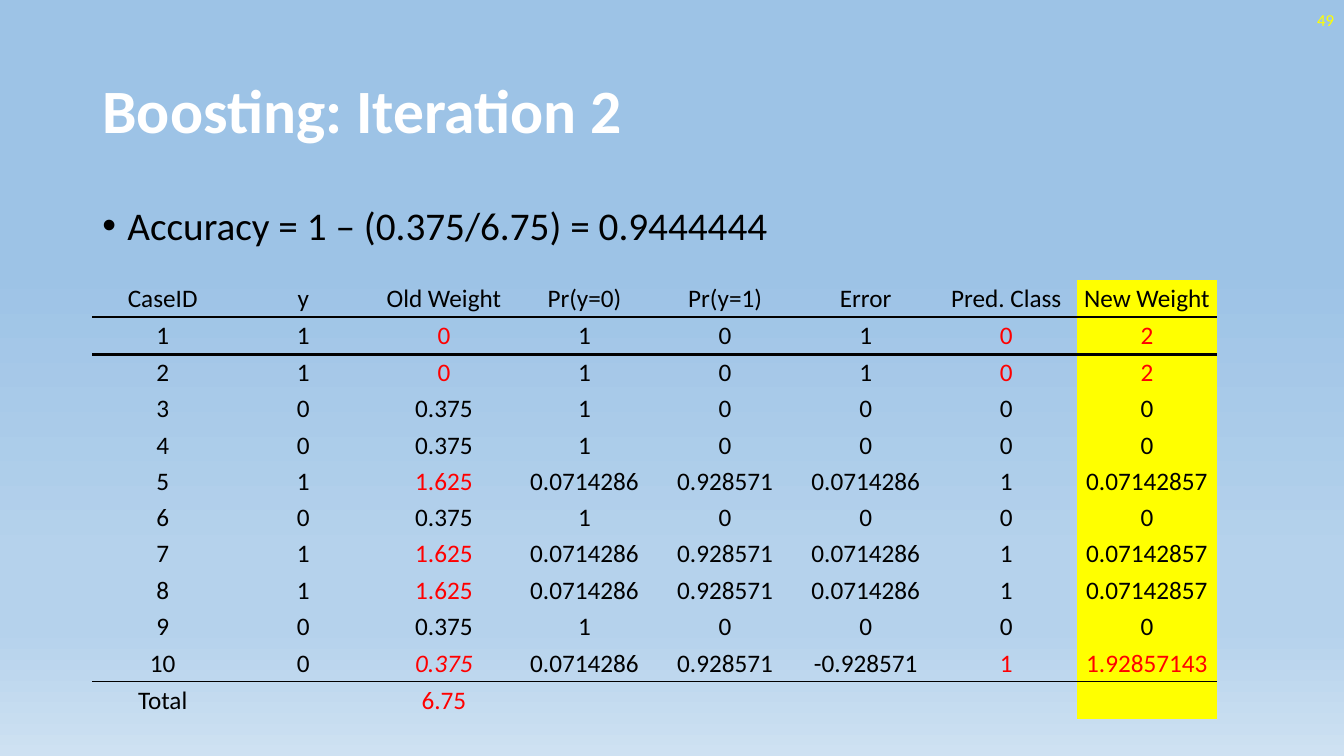
import lxml.etree
import pptx
import pptx.dml.color
import pptx.enum.text
import pptx.oxml.ns
import pptx.util

Pt = pptx.util.Pt
RGBColor = pptx.dml.color.RGBColor
Align = pptx.enum.text.PP_ALIGN
Anchor = pptx.enum.text.MSO_ANCHOR
qn = pptx.oxml.ns.qn

BLACK = RGBColor(0x00, 0x00, 0x00)
WHITE = RGBColor(0xFF, 0xFF, 0xFF)
RED = RGBColor(0xFF, 0x00, 0x00)
YELLOW = RGBColor(0xFF, 0xFF, 0x00)
SKY = RGBColor(0x9D, 0xC3, 0xE6)
PALE = RGBColor(0xB5, 0xD2, 0xEC)
MIST = RGBColor(0xCE, 0xE1, 0xF2)

PLAIN_TABLE_STYLE = "{2D5ABB26-0587-4C30-8999-92F81FD0307C}"
OLD_WEIGHT, PREDICTED, NEW_WEIGHT = 2, 6, 7
TOTAL_ROW = 11
MISCLASSIFIED = (1, 2, 10)
RED_CELLS = {(row, column) for row in MISCLASSIFIED
             for column in (OLD_WEIGHT, PREDICTED, NEW_WEIGHT)}
RED_CELLS |= {(row, OLD_WEIGHT) for row in (5, 7, 8, TOTAL_ROW)}
ITALIC_CELLS = {(10, OLD_WEIGHT)}
ROW_RULES = {0: ("a:lnB", 2), 1: ("a:lnT", 2), 10: ("a:lnB", 1), TOTAL_ROW: ("a:lnT", 1)}

CORRECT_ZERO = ["0", "0.375", "1", "0", "0", "0", "0"]
CORRECT_ONE = ["1", "1.625", "0.0714286", "0.928571", "0.0714286", "1", "0.07142857"]
MISSED_ONE = ["1", "0", "1", "0", "1", "0", "2"]
MISSED_ZERO = ["0", "0.375", "0.0714286", "0.928571", "-0.928571", "1", "1.92857143"]
CASES = [MISSED_ONE, MISSED_ONE, CORRECT_ZERO, CORRECT_ZERO, CORRECT_ONE,
         CORRECT_ZERO, CORRECT_ONE, CORRECT_ONE, CORRECT_ZERO, MISSED_ZERO]
ROWS = [
    ["CaseID", "y", "Old Weight", "Pr(y=0)", "Pr(y=1)", "Error", "Pred. Class", "New Weight"],
    *([str(number), *case] for number, case in enumerate(CASES, 1)),
    ["Total", "", "6.75", "", "", "", "", ""],
]


class SlideBuilder:
    """Hold the slide and its text style, and add each kind of element."""

    font = "Calibri"

    def __init__(self, slide):
        self.slide = slide

    def background(self, stops):
        fill = self.slide.background.fill
        fill.gradient()
        fill.gradient_angle = 270
        stop_list = self.slide.element.find(".//" + qn("a:gsLst"))
        for stop in list(stop_list):
            stop_list.remove(stop)
        for percent, color in stops:
            stop = lxml.etree.SubElement(stop_list, qn("a:gs"), pos=str(percent * 1000))
            lxml.etree.SubElement(stop, qn("a:srgbClr"), val=str(color))

    def run(self, paragraph, text, size, color, bold=False, italic=False):
        run = paragraph.add_run()
        run.text = text
        run.font.name = self.font
        run.font.size = Pt(size)
        run.font.color.rgb = color
        run.font.bold = bold
        run.font.italic = italic

    def place(self, shape, left, top, width, height):
        shape.left, shape.top = Pt(left), Pt(top)
        shape.width, shape.height = Pt(width), Pt(height)

    def title(self, text, box):
        shape = self.slide.shapes.title
        self.place(shape, *box)
        shape.text_frame.vertical_anchor = Anchor.MIDDLE
        paragraph = shape.text_frame.paragraphs[0]
        paragraph.alignment = Align.LEFT
        paragraph.line_spacing = 0.9
        self.run(paragraph, text, 44, WHITE, bold=True)

    def text_box(self, text, box, size, color, align=Align.LEFT, anchor=Anchor.TOP):
        shape = self.slide.shapes.add_textbox(*map(Pt, box))
        shape.text_frame.word_wrap = True
        shape.text_frame.vertical_anchor = anchor
        paragraph = shape.text_frame.paragraphs[0]
        paragraph.alignment = align
        self.run(paragraph, text, size, color)
        return paragraph

    def bullet(self, text, box):
        paragraph = self.text_box(text, box, 28, BLACK)
        paragraph.line_spacing = 0.9
        paragraph.space_before = Pt(10)
        properties = paragraph._p.get_or_add_pPr()
        properties.set("marL", str(Pt(18)))
        properties.set("indent", str(Pt(-18)))
        lxml.etree.SubElement(properties, qn("a:buFont"), typeface="Arial")
        lxml.etree.SubElement(properties, qn("a:buChar"), char="•")

    def border(self, cell, side, width):
        line = lxml.etree.Element(qn(side), w=str(Pt(width)))
        fill = lxml.etree.SubElement(line, qn("a:solidFill"))
        lxml.etree.SubElement(fill, qn("a:srgbClr"), val=str(BLACK))
        cell._tc.get_or_add_tcPr().insert(0, line)

    def cell(self, cell, text, row, column):
        cell.margin_left = cell.margin_right = cell.margin_top = Pt(0.7)
        cell.margin_bottom = Pt(0)
        cell.vertical_anchor = Anchor.MIDDLE
        if column == NEW_WEIGHT:
            cell.fill.solid()
            cell.fill.fore_color.rgb = YELLOW
        else:
            cell.fill.background()
        if row in ROW_RULES:
            self.border(cell, *ROW_RULES[row])
        if text:
            paragraph = cell.text_frame.paragraphs[0]
            paragraph.alignment = Align.CENTER
            color = RED if (row, column) in RED_CELLS else BLACK
            self.run(paragraph, text, 18, color, italic=(row, column) in ITALIC_CELLS)

    def table(self, rows, box):
        frame = self.slide.shapes.add_table(len(rows), len(rows[0]), *map(Pt, box))
        table = frame.table
        table.first_row = table.horz_banding = False
        table._tbl.tblPr.find(qn("a:tableStyleId")).text = PLAIN_TABLE_STYLE
        for row, texts in enumerate(rows):
            table.rows[row].height = Pt(26.6 if row in ROW_RULES else 25.9)
            for column, text in enumerate(texts):
                self.cell(table.cell(row, column), text, row, column)


def main():
    presentation = pptx.Presentation()
    presentation.slide_width, presentation.slide_height = Pt(960), Pt(540)
    builder = SlideBuilder(presentation.slides.add_slide(presentation.slide_layouts[5]))
    builder.background([(35, SKY), (74, PALE), (83, PALE), (100, MIST)])
    builder.title("Boosting: Iteration 2", (66, 28.8, 828, 104.4))
    builder.bullet("Accuracy = 1 – (0.375/6.75) = 0.9444444", (66, 143.75, 828, 342.6))
    builder.text_box("49", (744, 0, 216, 28.8), 12, YELLOW, Align.RIGHT, Anchor.MIDDLE)
    builder.table(ROWS, (66, 200, 803.6, 313.6))
    presentation.save("out.pptx")


if __name__ == "__main__":
    main()
